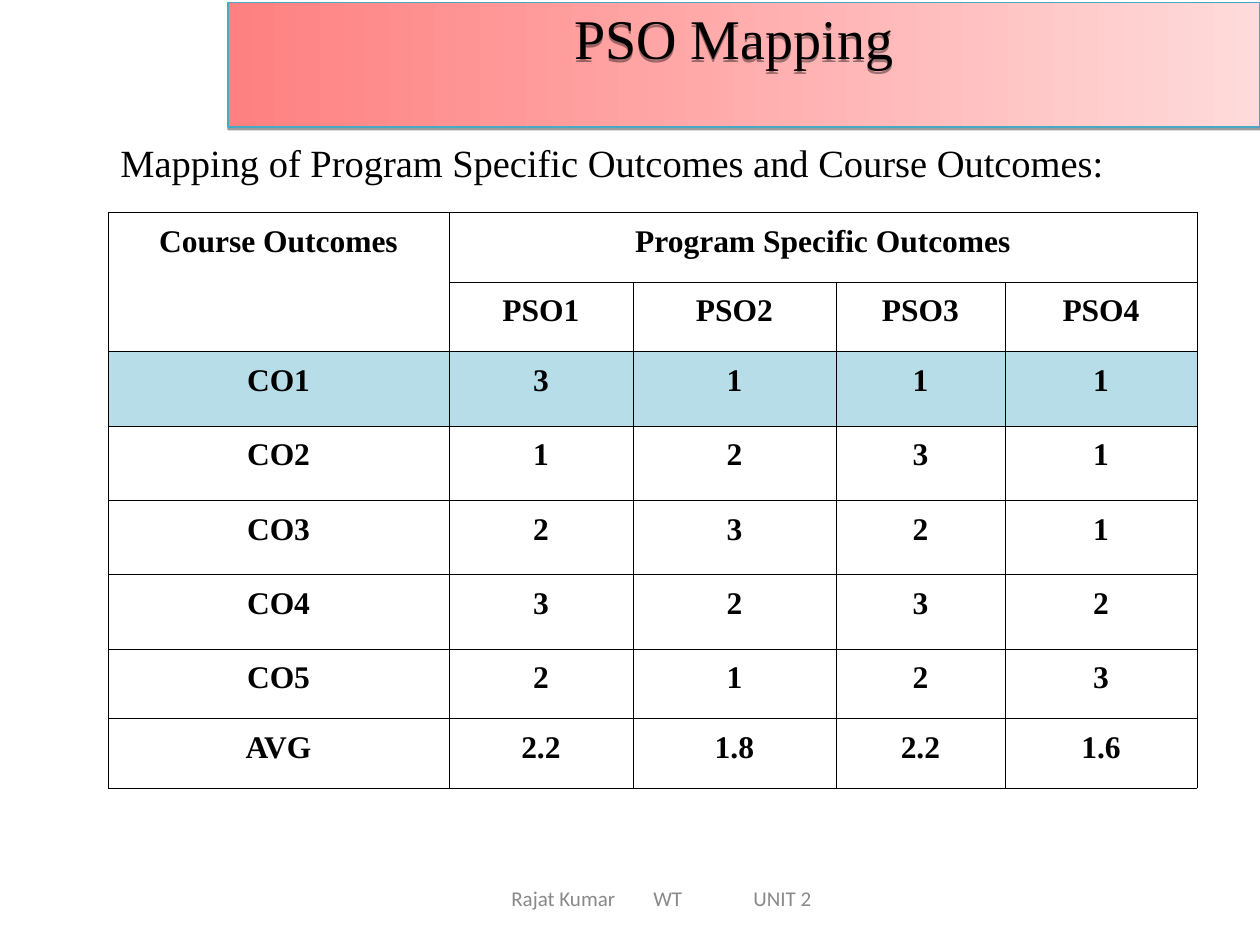
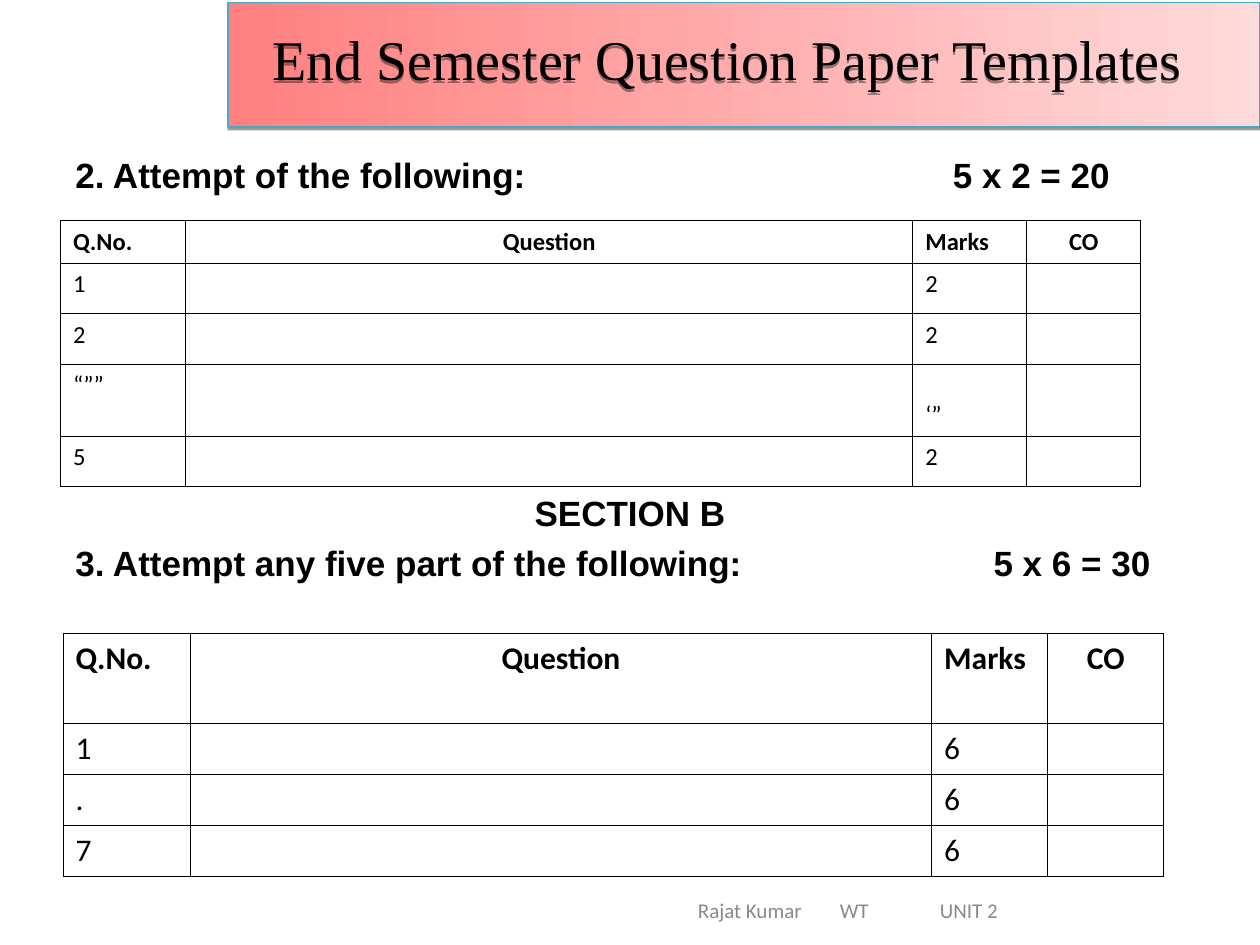
from dataclasses import dataclass

from lxml import etree
from pptx import Presentation
from pptx import util as u
from pptx.dml.color import RGBColor
from pptx.enum import shapes, text
from pptx.oxml import ns

Cm, Pt = u.Cm, u.Pt
LEFT, CENTER = text.PP_ALIGN.LEFT, text.PP_ALIGN.CENTER
TOP, MIDDLE, BOTTOM = (text.MSO_ANCHOR.TOP, text.MSO_ANCHOR.MIDDLE,
                       text.MSO_ANCHOR.BOTTOM)


@dataclass(frozen=True)
class Theme:
    ink: str = "000000"
    paper: str = "FFFFFF"
    muted: str = "898989"
    band_start: str = "FF8080"
    band_end: str = "FFDADA"
    band_edge: str = "46AAC5"
    highlight: str = "B7DEE8"
    serif: str = "Times New Roman"
    sans: str = "Arial"
    body: str = "Calibri"
    title_size: float = 32
    intro_size: float = 22
    question_size: float = 20
    table_size: float = 18
    small_table_size: float = 14
    footer_size: float = 12
    border: float = 0.45


THEME = Theme()


def rgb(value):
    return RGBColor.from_string(value)


def add_child(parent, tag, **attributes):
    child = etree.SubElement(parent, ns.qn(tag))
    for key, value in attributes.items():
        child.set(key, str(value))
    return child


# Text

def write(paragraph, words, font, size, color=THEME.ink, bold=False,
          align=LEFT, tabs=()):
    paragraph.alignment = align
    if tabs:
        tab_list = add_child(paragraph._p.get_or_add_pPr(), "a:tabLst")
        for stop in tabs:
            add_child(tab_list, "a:tab", pos=Cm(stop), algn="l")
    run = paragraph.add_run()
    run.text = words
    look = {"name": font, "size": Pt(size), "bold": bold}
    for key, value in look.items():
        setattr(run.font, key, value)
    run.font.color.rgb = rgb(color)


def add_text(slide, place, words, font, size, anchor=TOP, inset=None, **style):
    box = slide.shapes.add_textbox(*map(Cm, place))
    frame = box.text_frame
    frame.word_wrap = True
    frame.vertical_anchor = anchor
    if inset is not None:
        frame.margin_left = Cm(inset)
    write(frame.paragraphs[0], words, font, size, **style)
    return box


def cast_shadow(shape):
    """Add a soft shadow straight below the shape."""
    shape.shadow.inherit = False
    effects = shape._element.spPr.find(ns.qn("a:effectLst"))
    shadow = add_child(effects, "a:outerShdw", blurRad=0, dist=Pt(1.6),
                       dir=5400000, rotWithShape=0)
    color = add_child(shadow, "a:srgbClr", val=THEME.ink)
    add_child(color, "a:alpha", val=38000)


# Shared slide parts

def add_title(slide, place, words):
    band = slide.shapes.add_shape(shapes.MSO_SHAPE.RECTANGLE,
                                  Cm(4.6), Cm(0.05), Cm(20.8), Cm(2.51))
    band.fill.gradient()
    band.fill.gradient_angle = 0
    ends = (THEME.band_start, THEME.band_end)
    for position, (stop, color) in enumerate(zip(band.fill.gradient_stops, ends)):
        stop.position = position
        stop.color.rgb = rgb(color)
    band.line.color.rgb = rgb(THEME.band_edge)
    band.line.width = Pt(0.75)
    cast_shadow(band)
    title = add_text(slide, place, words, THEME.serif, THEME.title_size,
                     anchor=MIDDLE, align=CENTER)
    cast_shadow(title)


def add_footer(slide, place, inset):
    add_text(slide, place, "Rajat Kumar\tWT\tUNIT 2", THEME.body,
             THEME.footer_size, color=THEME.muted, anchor=MIDDLE,
             inset=inset, tabs=(2.86, 4.88))


# Tables

def draw_borders(cell):
    properties = cell._tc.get_or_add_tcPr()
    for position, side in enumerate(("a:lnL", "a:lnR", "a:lnT", "a:lnB")):
        line = etree.Element(ns.qn(side), w=str(Pt(THEME.border)))
        fill = add_child(line, "a:solidFill")
        add_child(fill, "a:srgbClr", val=THEME.ink)
        properties.insert(position, line)


def add_grid(slide, left, top, widths, heights):
    """Add a plain table with thin borders and white cells."""
    frame = slide.shapes.add_table(len(heights), len(widths), Cm(left), Cm(top),
                                   Cm(sum(widths)), Cm(sum(heights)))
    table = frame.table
    table.first_row = table.horz_banding = False
    for column, width in zip(table.columns, widths):
        column.width = Cm(width)
    for row, height in zip(table.rows, heights):
        row.height = Cm(height)
    for cell in table.iter_cells():
        cell.fill.solid()
        cell.fill.fore_color.rgb = rgb(THEME.paper)
        draw_borders(cell)
    return table


def add_mapping_table(slide):
    rows = [
        ("Course Outcomes", "Program Specific Outcomes", "", "", ""),
        ("", "PSO1", "PSO2", "PSO3", "PSO4"),
        ("CO1", "3", "1", "1", "1"),
        ("CO2", "1", "2", "3", "1"),
        ("CO3", "2", "3", "2", "1"),
        ("CO4", "3", "2", "3", "2"),
        ("CO5", "2", "1", "2", "3"),
        ("AVG", "2.2", "1.8", "2.2", "1.6"),
    ]
    heights = [1.4] * 2 + [1.5] * 4 + [1.4] * 2
    table = add_grid(slide, 2.18, 4.29, (6.87, 3.71, 4.09, 3.41, 3.87), heights)
    table.cell(0, 0).merge(table.cell(1, 0))
    table.cell(0, 1).merge(table.cell(0, 4))
    for r, row in enumerate(rows):
        for c, words in enumerate(row):
            cell = table.cell(r, c)
            cell.margin_left = cell.margin_right = Cm(0.19)
            if row[0] == "CO1":
                cell.fill.fore_color.rgb = rgb(THEME.highlight)
            if words:
                paragraph = cell.text_frame.paragraphs[0]
                paragraph.line_spacing = 1.15
                write(paragraph, words, THEME.serif, THEME.table_size,
                      bold=True, align=CENTER)


def add_question_table(slide, left, top, widths, heights, size, entries):
    """Add a question grid; entries are (number, marks) pairs."""
    rows = [("Q.No.", "Question", "Marks", "CO")]
    rows += [(number, "", marks, "") for number, marks in entries]
    table = add_grid(slide, left, top, widths, heights)
    for r, row in enumerate(rows):
        for c, words in enumerate(row):
            if words:
                write(table.cell(r, c).text_frame.paragraphs[0], words,
                      THEME.body, size, bold=r == 0,
                      align=CENTER if c in (1, 3) else LEFT)
    return table


# Slides

def build_mapping(slide):
    add_title(slide, (4.19, 0, 21.21, 1.5), "PSO Mapping")
    add_text(slide, (2.18, 2.67, 23.24, 1.2),
             "Mapping of Program Specific Outcomes and Course Outcomes:",
             THEME.serif, THEME.intro_size)
    add_footer(slide, (6.35, 17.6, 13.97, 1.02), inset=3.96)
    add_mapping_table(slide)


def build_question_paper(slide):
    add_title(slide, (4.71, 0, 19.91, 2.36),
              "End Semester Question Paper Templates")
    heading = {"font": THEME.sans, "size": THEME.question_size, "bold": True}
    add_text(slide, (1.27, 2.97, 22.86, 1.1),
             "2. Attempt of the following:\t5 x 2 = 20", tabs=(17.69,), **heading)
    section = add_text(slide, (1.27, 9.78, 22.86, 2.2), "SECTION B",
                       align=CENTER, **heading)
    part = section.text_frame.add_paragraph()
    part.space_before = Pt(4.8)
    write(part, "3. Attempt any five part of the following:\t5 x 6 = 30",
          tabs=(18.51,), **heading)

    short_answers = add_question_table(
        slide, 1.22, 4.45, (2.52, 14.66, 2.3, 2.3),
        (0.85, 1.02, 1.02, 1.45, 1.02), THEME.small_table_size,
        [("1", "2"), ("2", "2"), ("“””", "‘”"), ("5", "2")])
    short_answers.cell(3, 2).vertical_anchor = BOTTOM
    add_question_table(
        slide, 1.27, 12.77, (2.57, 14.94, 2.34, 2.34),
        (1.81, 1.03, 1.03, 1.03), THEME.table_size,
        [("1", "6"), (".", "6"), ("7", "6")])
    add_footer(slide, (8.69, 17.65, 11.68, 1.4), inset=5.38)


def main():
    deck = Presentation()
    deck.slide_width, deck.slide_height = Cm(25.4), Cm(19.05)
    blank = deck.slide_layouts[6]
    for build in (build_mapping, build_question_paper):
        build(deck.slides.add_slide(blank))
    deck.save("out.pptx")


if __name__ == "__main__":
    main()
